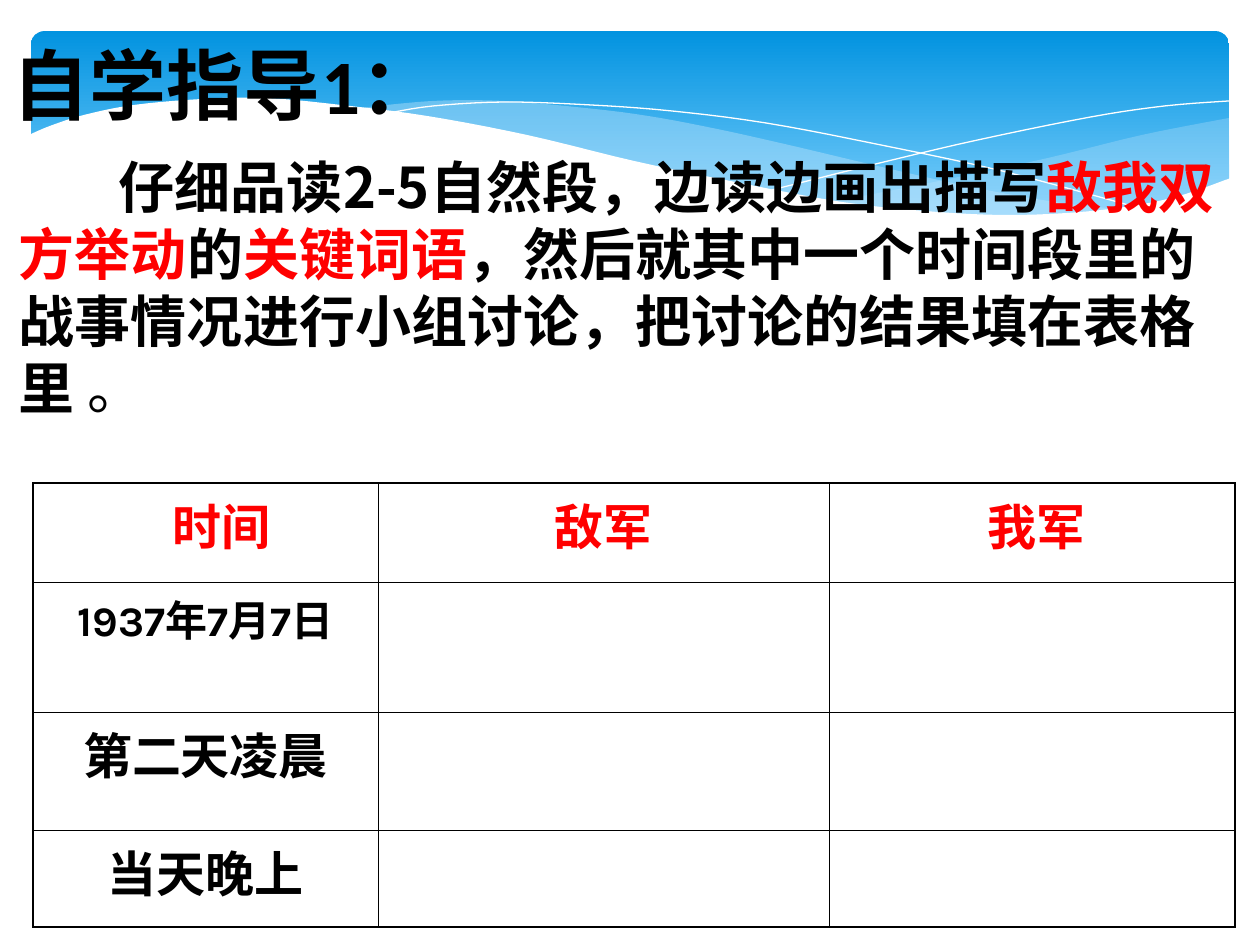
from dataclasses import dataclass

from lxml.etree import SubElement
from pptx import Presentation
from pptx.dml.color import RGBColor
from pptx.enum.shapes import MSO_SHAPE
from pptx.enum.text import PP_ALIGN
from pptx.oxml.ns import qn
from pptx.util import Emu, Pt

PX = 914400 // 126


@dataclass(frozen=True)
class Theme:
    ink: str = "000000"
    accent: str = "FF0000"
    paper: str = "FFFFFF"
    sky_top: str = "0293E0"
    sky_bottom: str = "83D3FE"
    wave: str = "C6E7FC"
    title_font: str = "Calibri"
    body_font: str = "Noto Sans CJK SC"
    table_font: str = "Karla"
    east_asian: str = "Noto Sans CJK SC"
    title_size: int = 44
    body_size: int = 32
    label_size: int = 28
    date_size: int = 24
    outer_rule: float = 1.08
    inner_rule: float = 0.45


THEME = Theme()


def px(length):
    return Emu(round(length * PX))


def apply(target, **values):
    for name, value in values.items():
        setattr(target, name, value)


def add_run(paragraph, words, font, size, color=THEME.ink, bold=True):
    run = paragraph.add_run()
    run.text = words
    apply(run.font, name=font, size=Pt(size), bold=bold)
    run.font.color.rgb = RGBColor.from_string(color)
    SubElement(run.font._element, qn("a:ea"), typeface=THEME.east_asian)


def smooth_curve(knots, steps=5):
    padded = [knots[0], *knots, knots[-1]]
    points = [knots[0]]
    for a, b, c, d in zip(padded, padded[1:], padded[2:], padded[3:]):
        for step in range(1, steps + 1):
            t = step / steps
            points.append(tuple(
                (2 * q + (r - p) * t + (2 * p - 5 * q + 4 * r - s) * t ** 2
                 + (3 * q - p - 3 * r + s) * t ** 3) / 2
                for p, q, r, s in zip(a, b, c, d)))
    return points


def add_wave(slide, box, edges, fill=None, alpha=100):
    left, top = box[:2]
    points = [(px(left + x), px(top + y))
              for edge in edges for x, y in smooth_curve(edge)]
    builder = slide.shapes.build_freeform(*points[0])
    builder.add_line_segments(points[1:], close=fill is not None)
    wave = builder.convert_to_shape()
    wave.shadow.inherit = False
    if fill is None:
        wave.fill.background()
        wave.line.color.rgb = RGBColor.from_string(THEME.paper)
        wave.line.width = Pt(0)
        return
    wave.line.fill.background()
    wave.fill.solid()
    wave.fill.fore_color.rgb = RGBColor.from_string(fill)
    if alpha < 100:
        color = wave._element.spPr.find(qn("a:solidFill"))[0]
        SubElement(color, qn("a:alpha"), val=str(alpha * 1000))


def add_banner(slide, box):
    sky = slide.shapes.add_shape(MSO_SHAPE.ROUNDED_RECTANGLE, *map(px, box))
    sky.adjustments[0] = 0.07
    sky.shadow.inherit = False
    sky.line.fill.background()
    sky.fill.gradient()
    sky.fill.gradient_angle = 270
    for stop, color in zip(sky.fill.gradient_stops,
                           (THEME.sky_top, THEME.sky_bottom)):
        stop.color.rgb = RGBColor.from_string(color)

    right_crest = [(1198, 87), (1111, 104), (1017, 127), (918, 148), (802, 171)]
    right_trough = [(802, 171), (874, 179), (953, 186), (1032, 184),
                    (1109, 174), (1165, 161), (1199, 147)]
    long_crest = [(1094, 179), (1024, 171), (945, 157), (859, 138), (762, 115),
                  (686, 98), (617, 85), (554, 77), (472, 70), (402, 70), (329, 77)]
    long_trough = [(329, 77), (400, 87), (478, 103), (588, 128), (682, 149),
                   (768, 166), (845, 177), (911, 183), (972, 187), (1025, 186),
                   (1094, 179)]
    falling_line = [(358, 82), (402, 75), (474, 71), (560, 74), (641, 80),
                    (735, 92), (845, 113), (971, 140), (1112, 178)]
    rising_line = [(741, 159), (845, 133), (947, 109), (1060, 86), (1134, 75),
                   (1198, 70)]
    front_crest = [(1200, 147), (1141, 167), (1071, 179), (988, 184), (906, 181),
                   (811, 171), (699, 150), (603, 130), (496, 104), (396, 85),
                   (310, 74), (235, 67), (172, 68), (103, 74), (53, 84),
                   (19, 95), (-2, 104)]
    front_base = [(-2, 251), (1200, 251)]

    add_wave(slide, box, [right_crest, right_trough], THEME.wave, 29)
    add_wave(slide, box, [long_crest, long_trough], THEME.wave, 40)
    add_wave(slide, box, [falling_line])
    add_wave(slide, box, [rising_line])
    add_wave(slide, box, [front_crest, front_base[:1], front_base[1:]], THEME.paper)


def add_passage(slide, box, runs, font, size, pitch, top_inset, indent=0):
    frame = slide.shapes.add_textbox(*map(px, box)).text_frame
    apply(frame, word_wrap=True, margin_left=px(13), margin_right=px(13),
          margin_top=px(top_inset), margin_bottom=px(6))
    paragraph = frame.paragraphs[0]
    paragraph.line_spacing = Pt(pitch)
    if indent:
        paragraph._p.get_or_add_pPr().set("indent", str(px(indent)))
    for words, style in runs:
        add_run(paragraph, words, font, size, **style)


def add_borders(cell, widths):
    properties = cell._tc.get_or_add_tcPr()
    for side, width in widths.items():
        border = SubElement(properties, qn(f"a:ln{side}"), w=str(Pt(width)))
        fill = SubElement(border, qn("a:solidFill"))
        SubElement(fill, qn("a:srgbClr"), val=THEME.ink)


def add_battle_table(slide, box, columns, rows, labels):
    table = slide.shapes.add_table(len(rows), len(columns), *map(px, box)).table
    apply(table, first_row=False, horz_banding=False)
    for column, width in zip(table.columns, columns):
        column.width = px(width)
    for row, height in zip(table.rows, rows):
        row.height = px(height)
    last_row, last_column = len(rows) - 1, len(columns) - 1
    for r in range(len(rows)):
        for c in range(len(columns)):
            cell = table.cell(r, c)
            outer = {"L": c == 0, "R": c == last_column,
                     "T": r == 0, "B": r == last_row}
            add_borders(cell, {side: THEME.outer_rule if edge else THEME.inner_rule
                               for side, edge in outer.items()})
            cell.fill.background()
            words, size, color, shift = labels.get((r, c), ("", 0, "", 0))
            apply(cell, margin_left=px(13 + shift), margin_right=px(13),
                  margin_top=px(6), margin_bottom=px(6))
            if words:
                paragraph = cell.text_frame.paragraphs[0]
                paragraph.alignment = PP_ALIGN.CENTER
                add_run(paragraph, words, THEME.table_font, size, color)


def main():
    deck = Presentation()
    apply(deck, slide_width=px(1260), slide_height=px(945))
    slide = deck.slides.add_slide(deck.slide_layouts[6])
    add_banner(slide, (31, 31, 1198, 197))
    add_passage(slide, (0, 26, 1235, 106), [("自学指导1：", {})],
                THEME.title_font, THEME.title_size, pitch=53, top_inset=11)
    add_battle_table(
        slide, (33, 483, 1202, 444), (345, 451, 406), (99, 130, 118, 97),
        {(0, 0): ("时间", THEME.label_size, THEME.accent, 32),
         (0, 1): ("敌军", THEME.label_size, THEME.accent, 0),
         (0, 2): ("我军", THEME.label_size, THEME.accent, 10),
         (1, 0): ("1937年7月7日", THEME.date_size, THEME.ink, 0),
         (2, 0): ("第二天凌晨", THEME.label_size, THEME.ink, 0),
         (3, 0): ("当天晚上", THEME.label_size, THEME.ink, 0)})
    key = {"color": THEME.accent}
    add_passage(
        slide, (6, 141, 1226, 282),
        [("仔细品读2-5自然段，边读边画出描写", {}),
         ("敌我双方举动", key), ("的", {}), ("关键词语", key),
         ("，然后就其中一个时间段里的战事情况进行小组讨论，把讨论的结果填在表格里", {}),
         (" 。", {"bold": False})],
        THEME.body_font, THEME.body_size, pitch=38.3, top_inset=12, indent=100)
    deck.save("out.pptx")


if __name__ == "__main__":
    main()
